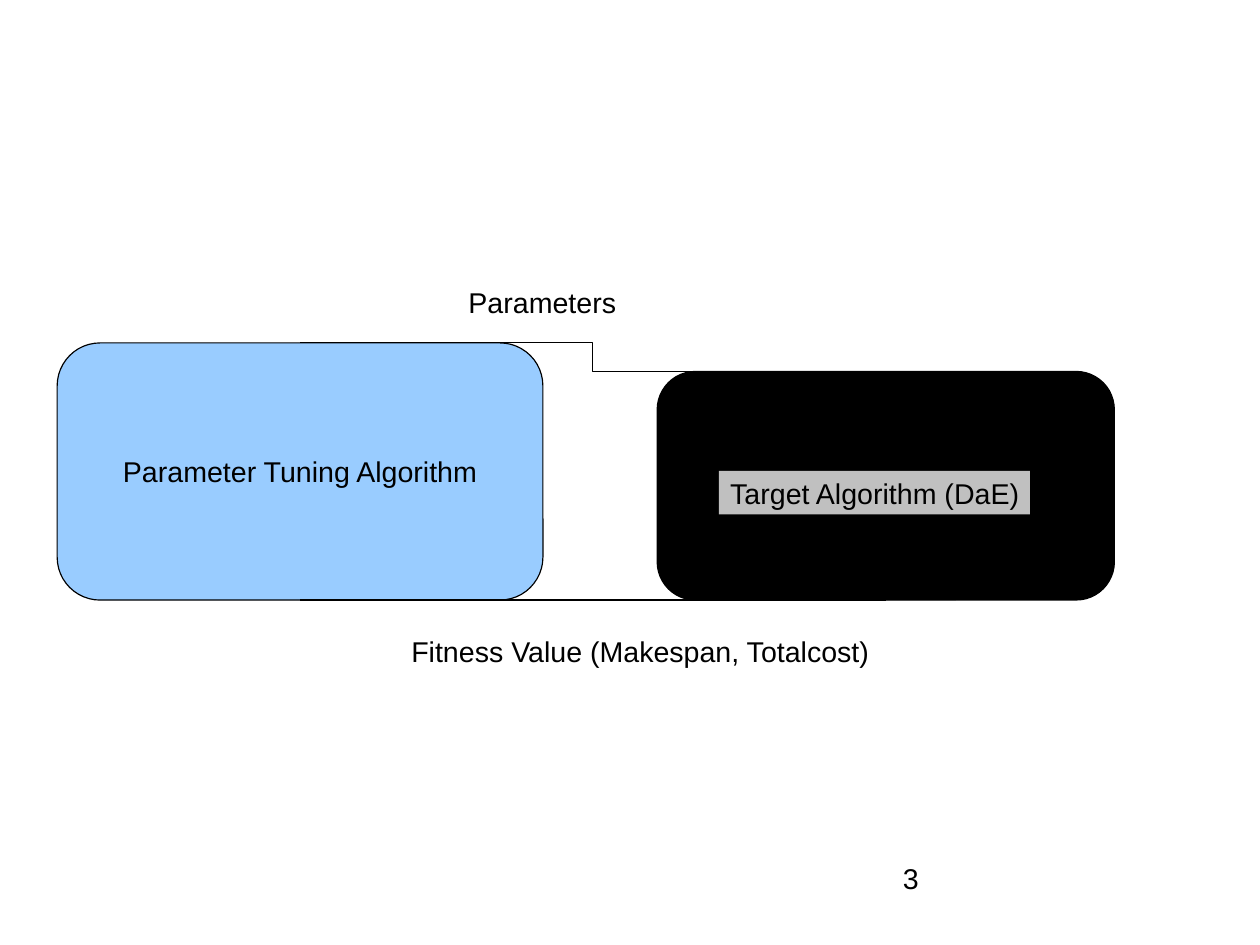
from lxml.etree import SubElement
from pptx import Presentation
from pptx.dml.color import RGBColor
from pptx.enum.shapes import MSO_CONNECTOR, MSO_SHAPE
from pptx.enum.text import MSO_ANCHOR, PP_ALIGN
from pptx.oxml.ns import qn
from pptx.util import Cm, Inches, Pt

CELL = Inches(0.25)  # the layout sits on a quarter-inch grid


def color(hex_string):
    return RGBColor.from_string(hex_string)


def write(box, text, align=PP_ALIGN.LEFT, anchor=MSO_ANCHOR.TOP, wrap=False, insets=(0.1, 0.07, 0.1, 0.05)):
    frame = box.text_frame
    frame.word_wrap = wrap
    frame.vertical_anchor = anchor
    frame.margin_left, frame.margin_top, frame.margin_right, frame.margin_bottom = map(Inches, insets)
    para = frame.paragraphs[0]
    para.alignment = align
    para.line_spacing = 0.93
    span = para.add_run()
    span.text = text
    span.font.name = "Arial"
    span.font.size = Pt(18)
    span.font.color.rgb = color("000000")


deck = Presentation()
deck.slide_width, deck.slide_height = Cm(28), Cm(21)
page = deck.slides.add_slide(deck.slide_layouts[6])

# The two algorithms: left, top, width, height in grid cells
algorithms = []
for left, top, width, height, fill in [(2, 12, 17, 9, "99CCFF"), (23, 13, 16, 8, "000000")]:
    box = page.shapes.add_shape(
        MSO_SHAPE.ROUNDED_RECTANGLE, left * CELL, top * CELL, width * CELL, height * CELL)
    box.shadow.inherit = False
    box.adjustments[0] = 0.167
    box.fill.solid()
    box.fill.fore_color.rgb = color(fill)
    box.line.color.rgb = color("000000")
    box.line.width = Pt(0.75)
    algorithms.append(box)
tuning, target = algorithms
write(tuning, "Parameter Tuning Algorithm", PP_ALIGN.CENTER, MSO_ANCHOR.MIDDLE)

# Name plate on the target algorithm
plate = page.shapes.add_shape(
    MSO_SHAPE.RECTANGLE, Inches(6.29), Inches(4.12), Inches(2.72), Inches(0.38))
plate.shadow.inherit = False
plate.fill.solid()
plate.fill.fore_color.rgb = color("C0C0C0")
plate.line.fill.background()
write(plate, "Target Algorithm (DaE)")

# Links between the middles of the upper sides and of the lower sides
tuning_middle = tuning.left + tuning.width // 2
target_middle = target.left + target.width // 2
bottom = tuning.top + tuning.height
for ends in [(target_middle, target.top, tuning_middle, tuning.top),
             (tuning_middle, bottom, target_middle, bottom)]:
    link = page.shapes.add_connector(MSO_CONNECTOR.ELBOW, *ends)
    link.line.color.rgb = color("000000")
    link.line.width = Pt(0.75)
    SubElement(link._element.spPr, qn("a:effectLst"))

# Link captions
for text, left, top, width, height in [
    ("Parameters", 4, 2.45, 1.49, 0.38),
    ("Fitness Value (Makespan, Totalcost)", 3.5, 5.5, 4.22, 0.5),
]:
    caption = page.shapes.add_textbox(*map(Inches, (left, top, width, height)))
    write(caption, text)

# Page number
number = page.shapes.add_textbox(Inches(7.9), Inches(7.56), Inches(2.55), Inches(0.55))
write(number, "3", wrap=True, insets=(0, 0, 0, 0))

deck.save("out.pptx")
